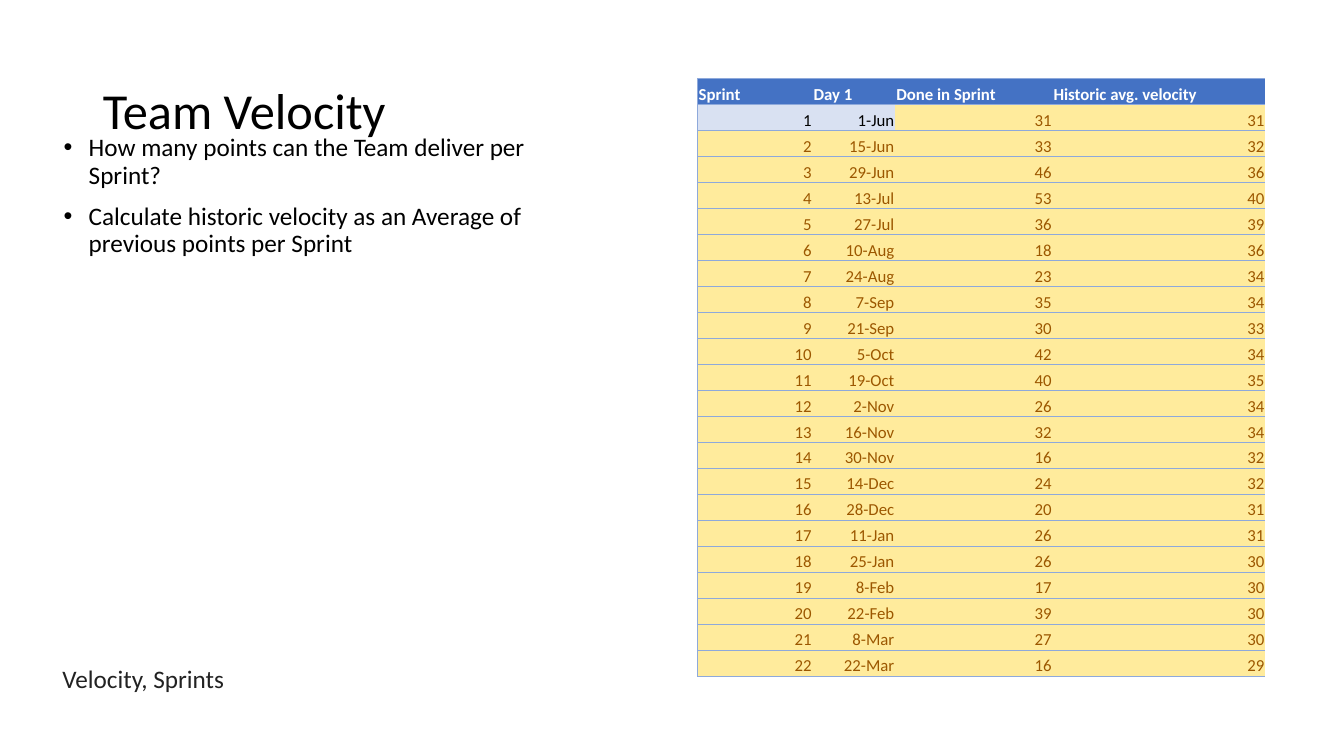
"""Build the Team Velocity slide with its sprint table."""
from itertools import accumulate

from lxml import etree
from pptx import Presentation
from pptx import util as u
from pptx.dml.color import RGBColor
from pptx.enum import text
from pptx.oxml.ns import qn

TITLE = "Team Velocity"
POINTS = [
    "How many points can the Team deliver per Sprint?",
    "Calculate historic velocity as an Average of previous points per Sprint",
]
TAGS = "Velocity, Sprints"
HEADERS = ["Sprint", "Day 1", "Done in Sprint", "Historic avg. velocity"]
SPRINTS = [
    ("1-Jun", 31), ("15-Jun", 33), ("29-Jun", 46), ("13-Jul", 53),
    ("27-Jul", 36), ("10-Aug", 18), ("24-Aug", 23), ("7-Sep", 35),
    ("21-Sep", 30), ("5-Oct", 42), ("19-Oct", 40), ("2-Nov", 26),
    ("16-Nov", 32), ("30-Nov", 16), ("14-Dec", 24), ("28-Dec", 20),
    ("11-Jan", 26), ("25-Jan", 26), ("8-Feb", 17), ("22-Feb", 39),
    ("8-Mar", 27), ("22-Mar", 16),
]
COLUMN_WIDTHS = [1.14, 0.82, 1.56, 2.11]
ROW_HEIGHT = 0.258
PLACES = {
    "title": (0.92, 0.4, 11.5, 1.45),
    "body": (0.53, 1.29, 5.44, 4.81),
    "tags": (0.52, 6.53, 1.82, 0.4),
    "table": (6.92, 0.78, sum(COLUMN_WIDTHS), ROW_HEIGHT * (len(SPRINTS) + 1)),
}
THEME = {
    "font": "Calibri", "title": 36, "body": 18, "cell": 12,
    "ink": "000000", "tags": "222222", "white": "FFFFFF", "amber": "9C5700",
    "header": "4472C4", "first": "D9E1F2", "forecast": "FFEB9C", "rule": "8EA9DB",
}


def place(shape, name):
    """Move a shape to its named place."""
    shape.left, shape.top, shape.width, shape.height = map(u.Inches, PLACES[name])


def write(frame, lines, size, color="ink", bold=False, align="LEFT",
          spacing=None, before=0, bullet=False):
    """Fill a text frame with formatted paragraphs."""
    for index, line in enumerate(lines):
        paragraph = frame.add_paragraph() if index else frame.paragraphs[0]
        paragraph.alignment = getattr(text.PP_ALIGN, align)
        paragraph.line_spacing = spacing
        paragraph.space_before = u.Pt(before)
        if bullet:
            properties = paragraph._p.get_or_add_pPr()
            properties.set("marL", str(u.Inches(0.25)))
            properties.set("indent", str(-u.Inches(0.25)))
            etree.SubElement(properties, qn("a:buFont"), typeface="Arial")
            etree.SubElement(properties, qn("a:buChar"), char="•")
        run = paragraph.add_run()
        run.text = str(line)
        run.font.name, run.font.size = THEME["font"], u.Pt(THEME[size])
        run.font.bold = bold
        run.font.color.rgb = RGBColor.from_string(THEME[color])


def rule_cell(cell, sides):
    """Draw the listed cell borders and clear the others."""
    properties = cell._tc.get_or_add_tcPr()
    for side in "LRTB":
        line = etree.SubElement(properties, qn(f"a:ln{side}"), w=str(u.Pt(0.5)))
        if side in sides:
            fill = etree.SubElement(line, qn("a:solidFill"))
            etree.SubElement(fill, qn("a:srgbClr"), val=THEME["rule"])
        else:
            etree.SubElement(line, qn("a:noFill"))


def cell_style(row, column):
    """Return the fill, text colour, weight and alignment of a cell."""
    if row == 0:
        return "header", "white", True, "LEFT"
    if row == 1 and column < 2:
        return "first", "ink", False, "RIGHT"
    return "forecast", "amber", False, "RIGHT"


def add_velocity_table(slide):
    """Add the sprint table, with the running average rounded down."""
    totals = accumulate(done for _, done in SPRINTS)
    rows = [HEADERS] + [
        (number, day, done, total // number)
        for number, ((day, done), total) in enumerate(zip(SPRINTS, totals), 1)
    ]
    frame = slide.shapes.add_table(
        len(rows), len(HEADERS), *map(u.Inches, PLACES["table"]))
    table = frame.table
    table.horz_banding = False
    for column, width in zip(table.columns, COLUMN_WIDTHS):
        column.width = u.Inches(width)
    for r, values in enumerate(rows):
        table.rows[r].height = u.Inches(ROW_HEIGHT)
        for c, value in enumerate(values):
            cell = table.cell(r, c)
            fill, color, bold, align = cell_style(r, c)
            cell.margin_left = cell.margin_right = cell.margin_top = u.Inches(0.01)
            cell.margin_bottom = 0
            cell.vertical_anchor = text.MSO_ANCHOR.BOTTOM
            rule_cell(cell, "TB" if c else "LTB")
            cell.fill.solid()
            cell.fill.fore_color.rgb = RGBColor.from_string(THEME[fill])
            write(cell.text_frame, [value], "cell", color, bold, align)


presentation = Presentation()
presentation.slide_width, presentation.slide_height = u.Inches(13.33), u.Inches(7.5)
slide = presentation.slides.add_slide(presentation.slide_layouts[1])

title, body = slide.placeholders
place(title, "title")
title.text_frame.vertical_anchor = text.MSO_ANCHOR.MIDDLE
write(title.text_frame, [TITLE], "title", spacing=0.9)

place(body, "body")
body.text_frame.auto_size = text.MSO_AUTO_SIZE.NONE
write(body.text_frame, POINTS, "body", spacing=0.9, before=10, bullet=True)

add_velocity_table(slide)

tags = slide.shapes.add_textbox(*map(u.Inches, PLACES["tags"]))
tags.text_frame.word_wrap = False
tags.text_frame.auto_size = text.MSO_AUTO_SIZE.SHAPE_TO_FIT_TEXT
write(tags.text_frame, [TAGS], "body", "tags")

presentation.save("out.pptx")
